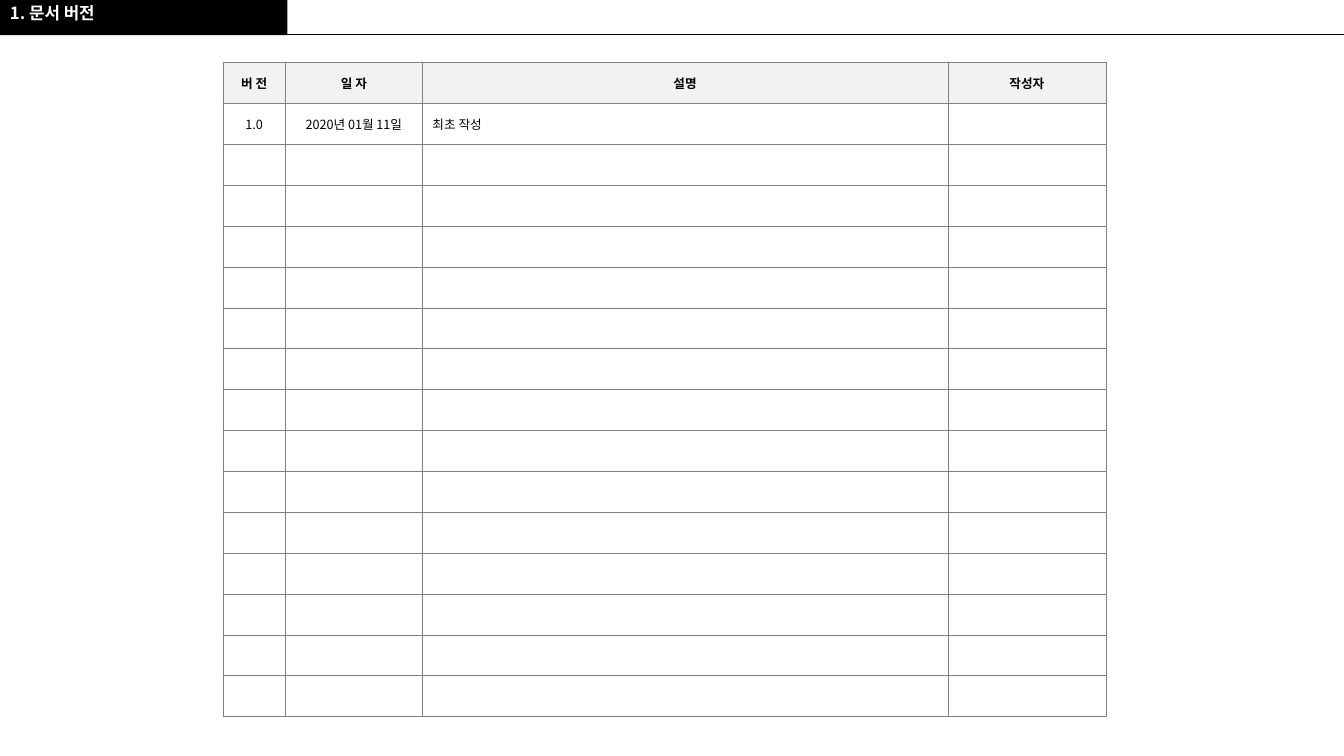
from lxml.etree import SubElement
from pptx import Presentation
from pptx.dml.color import RGBColor
from pptx.enum.shapes import MSO_CONNECTOR, MSO_SHAPE
from pptx.enum.text import MSO_ANCHOR, PP_ALIGN
from pptx.oxml.ns import qn
from pptx.util import Inches, Pt

FONT = "Noto Sans CJK KR"
ROW_COUNT = 16
COLUMN_WIDTHS = [0.62, 1.36, 5.21, 1.57]
ENTRIES = [
    ["버 전", "일 자", "설명", "작성자"],
    ["1.0", "2020년 01월 11일", "최초 작성", ""],
]


def color(value):
    return RGBColor.from_string(value)


def add_text(paragraph, text, size, fill, bold):
    run = paragraph.add_run()
    run.text = text
    run.font.size = Pt(size)
    run.font.bold = bold
    run.font.name = FONT
    run.font.color.rgb = color(fill)
    east_asian = SubElement(run.font._element, qn("a:ea"))
    east_asian.set("typeface", FONT)


prs = Presentation()
prs.slide_width = Inches(13.33)
prs.slide_height = Inches(7.5)
slide = prs.slides.add_slide(prs.slide_layouts[6])

title_band = slide.shapes.add_shape(MSO_SHAPE.RECTANGLE, 0, 0, Inches(2.85), Inches(0.35))
title_band.shadow.inherit = False
title_band.fill.solid()
title_band.fill.fore_color.rgb = color("000000")
title_band.line.fill.background()

header_rule = slide.shapes.add_connector(
    MSO_CONNECTOR.STRAIGHT, Inches(2.76), Inches(0.34), Inches(13.33), Inches(0.34))
header_rule.line.color.rgb = color("000000")
header_rule.line.width = Pt(0.5)
SubElement(header_rule._element.spPr, qn("a:effectLst"))

title = slide.shapes.add_textbox(0, Inches(0.03), Inches(2.85), Inches(0.32))
title.text_frame.word_wrap = True
title.text_frame.margin_top = Inches(0.02)
title_line = title.text_frame.paragraphs[0]
title_line.line_spacing = 0.9
add_text(title_line, "1. 문서 버전", 12, "FFFFFF", True)

history_frame = slide.shapes.add_table(
    ROW_COUNT, len(COLUMN_WIDTHS), Inches(2.21), Inches(0.62), Inches(8.76), Inches(6.49))
history = history_frame.table
history.horz_banding = False
for column, width in zip(history.columns, COLUMN_WIDTHS):
    column.width = Inches(width)

for r in range(ROW_COUNT):
    for c in range(len(COLUMN_WIDTHS)):
        cell = history.cell(r, c)
        cell.vertical_anchor = MSO_ANCHOR.MIDDLE
        properties = cell._tc.get_or_add_tcPr()
        for side in ("a:lnL", "a:lnR", "a:lnT", "a:lnB"):
            border = SubElement(properties, qn(side), w=str(Pt(0.25)))
            border_fill = SubElement(border, qn("a:solidFill"))
            SubElement(border_fill, qn("a:srgbClr"), val="808080")
        if r == 0:
            cell.fill.solid()
            cell.fill.fore_color.rgb = color("F2F2F2")
        else:
            cell.fill.background()

        entry = ENTRIES[r][c] if r < len(ENTRIES) else ""
        paragraph = cell.text_frame.paragraphs[0]
        if entry:
            paragraph.alignment = PP_ALIGN.LEFT if r and c == 2 else PP_ALIGN.CENTER
            add_text(paragraph, entry, 9, "000000", r == 0)
        else:
            SubElement(paragraph._p, qn("a:endParaRPr"), sz="900")

prs.save("out.pptx")
